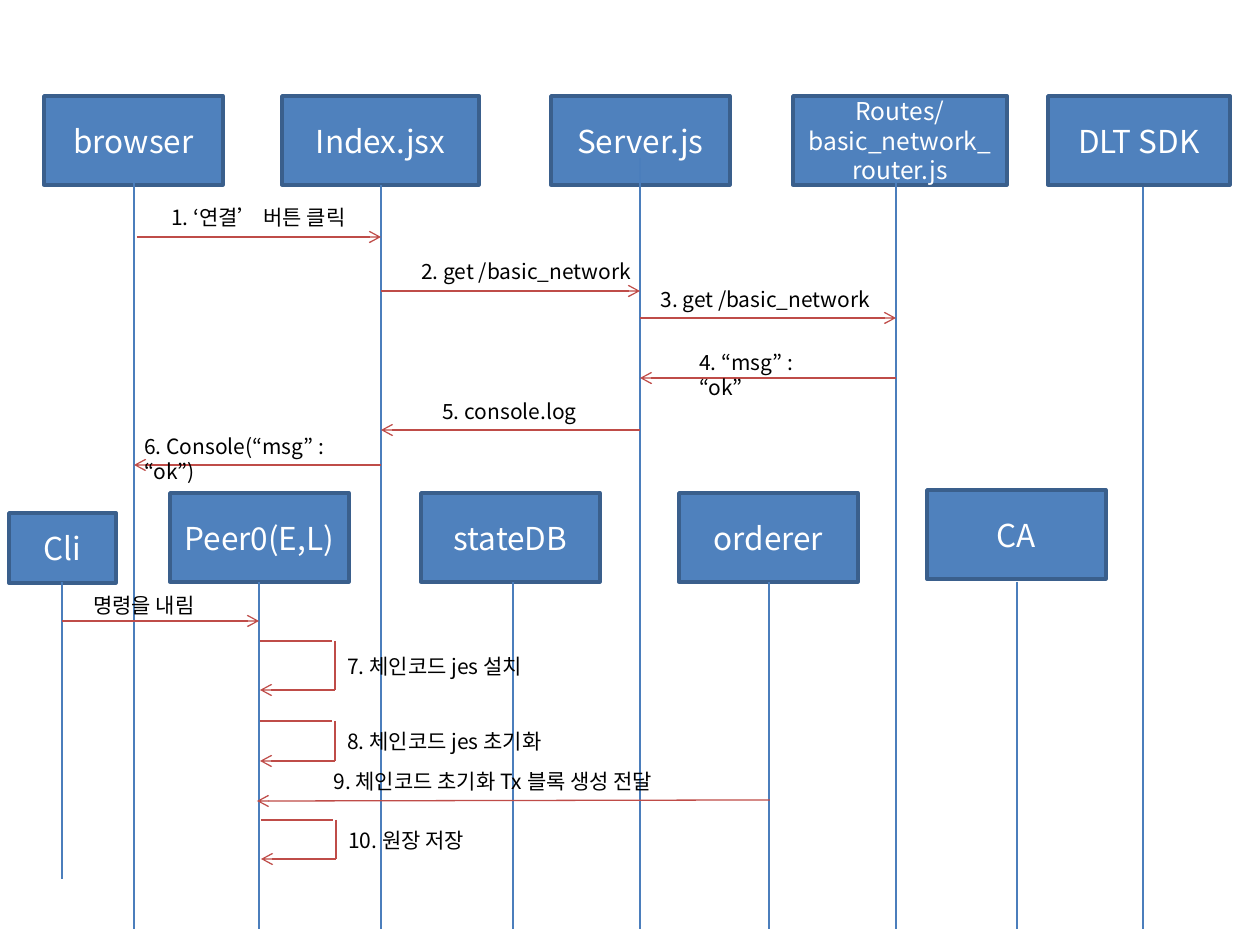
from dataclasses import dataclass
import lxml.etree
import pptx
import pptx.dml.color
import pptx.enum.shapes
import pptx.enum.text
import pptx.oxml.ns
import pptx.util

SCALE = 914400 / 126
FONT = "Noto Sans CJK KR"
FILL, EDGE, LIFE, CALL = "4F81BD", "3A5F8C", "4B7EBC", "BF4C48"
WHITE, BLACK = "FFFFFF", "000000"


@dataclass
class Actor:
    name: str
    left: int
    top: int
    width: int
    axis: int
    start: int
    end: int = 929
    height: int = 89
    size: int = 18


@dataclass
class Call:
    start: int
    end: int
    y: int
    drop: int = 0


@dataclass
class Label:
    text: str
    left: int
    top: int
    width: int
    wrap: bool = False


@dataclass
class Loop:
    left: int
    top: int
    height: int


ACTORS = [
    Actor("browser", 44, 96, 179, 134, 183),
    Actor("Index.jsx", 282, 96, 197, 381, 185),
    Actor("Server.js", 551, 96, 179, 640, 158),
    Actor("Routes/basic_network_router.js", 793, 96, 214, 896, 183, size=14),
    Actor("DLT SDK", 1048, 96, 182, 1143, 187),
    Actor("Peer0(E,L)", 170, 493, 179, 259, 582),
    Actor("stateDB", 421, 493, 179, 513, 582),
    Actor("orderer", 679, 493, 179, 769, 582),
    Actor("CA", 927, 490, 179, 1017, 582),
    Actor("Cli", 9, 513, 107, 62, 582, end=879, height=70),
]
CALLS = [
    Call(137, 381, 237),
    Call(381, 640, 291),
    Call(640, 896, 318),
    Call(896, 640, 378),
    Call(640, 381, 430),
    Call(381, 134, 465),
    Call(62, 259, 621),
    Call(770, 257, 800, drop=1),
]
LABELS = [
    Label("1. ‘연결’ 버튼 클릭", 159, 198, 230),
    Label("2. get /basic_network", 409, 252, 239),
    Label("3. get /basic_network", 648, 280, 243),
    Label("4. “msg” : “ok”", 687, 343, 165, wrap=True),
    Label("5. console.log", 430, 392, 186, wrap=True),
    Label("6. Console(“msg” : “ok”)", 132, 427, 255, wrap=True),
    Label("명령을 내림", 81, 586, 139),
    Label("7. 체인코드 jes 설치", 335, 647, 218),
    Label("8. 체인코드 jes 초기화", 335, 722, 238),
    Label("9. 체인코드 초기화 Tx 블록 생성 전달", 321, 762, 382),
    Label("10. 원장 저장", 336, 821, 154),
]
LOOPS = [Loop(260, 641, 49), Loop(260, 721, 40), Loop(261, 820, 39)]


def px(value: int) -> int:
    return round(value * SCALE)


def color(code: str) -> pptx.dml.color.RGBColor:
    return pptx.dml.color.RGBColor.from_string(code)


def write(frame, text: str, *, size: int = 12, ink: str = BLACK,
          wrap: bool = True, center: bool = False) -> None:
    frame.word_wrap = wrap
    para = frame.paragraphs[0]
    align = pptx.enum.text.PP_ALIGN
    para.alignment = align.CENTER if center else align.LEFT
    run = para.add_run()
    run.text = text
    run.font.size = pptx.util.Pt(size)
    run.font.name = FONT
    run.font.color.rgb = color(ink)
    east = lxml.etree.SubElement(run.font._element, pptx.oxml.ns.qn("a:ea"))
    east.set("typeface", FONT)


def draw_line(slide, x1: int, y1: int, x2: int, y2: int,
              ink: str = CALL, arrow: bool = False) -> None:
    kind = pptx.enum.shapes.MSO_CONNECTOR.STRAIGHT
    line = slide.shapes.add_connector(kind, px(x1), px(y1), px(x2), px(y2))
    line.line.color.rgb = color(ink)
    line.line.width = pptx.util.Pt(0.75)
    qn = pptx.oxml.ns.qn
    if arrow:
        tail = lxml.etree.SubElement(line.line._get_or_add_ln(), qn("a:tailEnd"))
        tail.set("type", "arrow")
    lxml.etree.SubElement(line._element.spPr, qn("a:effectLst"))


def draw_actor(slide, actor: Actor) -> None:
    box = slide.shapes.add_shape(
        pptx.enum.shapes.MSO_SHAPE.RECTANGLE,
        px(actor.left), px(actor.top), px(actor.width), px(actor.height))
    box.shadow.inherit = False
    box.fill.solid()
    box.fill.fore_color.rgb = color(FILL)
    box.line.color.rgb = color(EDGE)
    box.line.width = pptx.util.Pt(2)
    box.text_frame.vertical_anchor = pptx.enum.text.MSO_ANCHOR.MIDDLE
    write(box.text_frame, actor.name, size=actor.size, ink=WHITE, center=True)
    draw_line(slide, actor.axis, actor.start, actor.axis, actor.end, LIFE)


def draw_call(slide, call: Call) -> None:
    draw_line(slide, call.start, call.y, call.end, call.y + call.drop, arrow=True)


def draw_loop(slide, loop: Loop) -> None:
    right, base = loop.left + 75, loop.top + loop.height
    draw_line(slide, loop.left, loop.top, right - 3, loop.top)
    draw_line(slide, right, loop.top, right, base)
    draw_line(slide, right, base, loop.left, base, arrow=True)


def draw_label(slide, label: Label) -> None:
    box = slide.shapes.add_textbox(
        px(label.left), px(label.top), px(label.width), px(38))
    write(box.text_frame, label.text, wrap=label.wrap)


def main() -> None:
    deck = pptx.Presentation()
    deck.slide_width, deck.slide_height = px(1260), px(945)
    slide = deck.slides.add_slide(deck.slide_layouts[6])
    for draw, items in ((draw_actor, ACTORS), (draw_call, CALLS),
                        (draw_loop, LOOPS), (draw_label, LABELS)):
        for item in items:
            draw(slide, item)
    deck.save("out.pptx")


if __name__ == "__main__":
    main()
